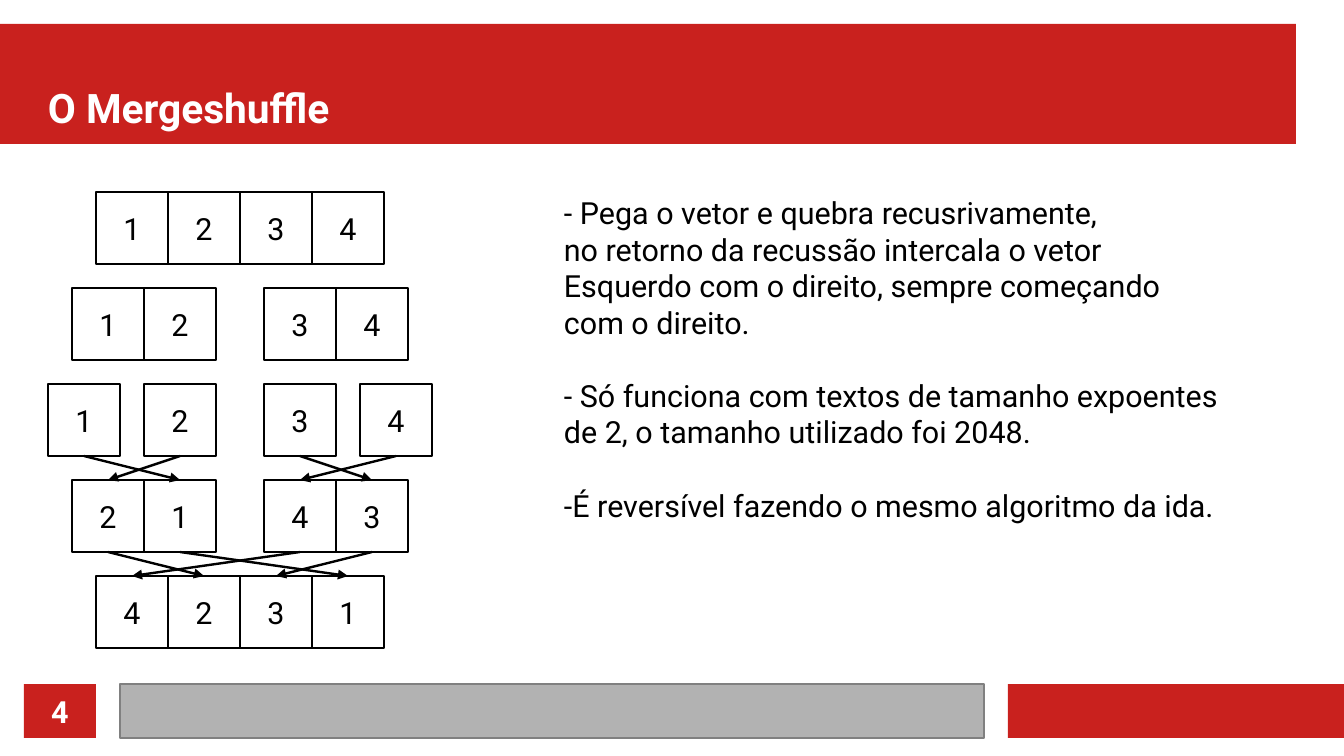
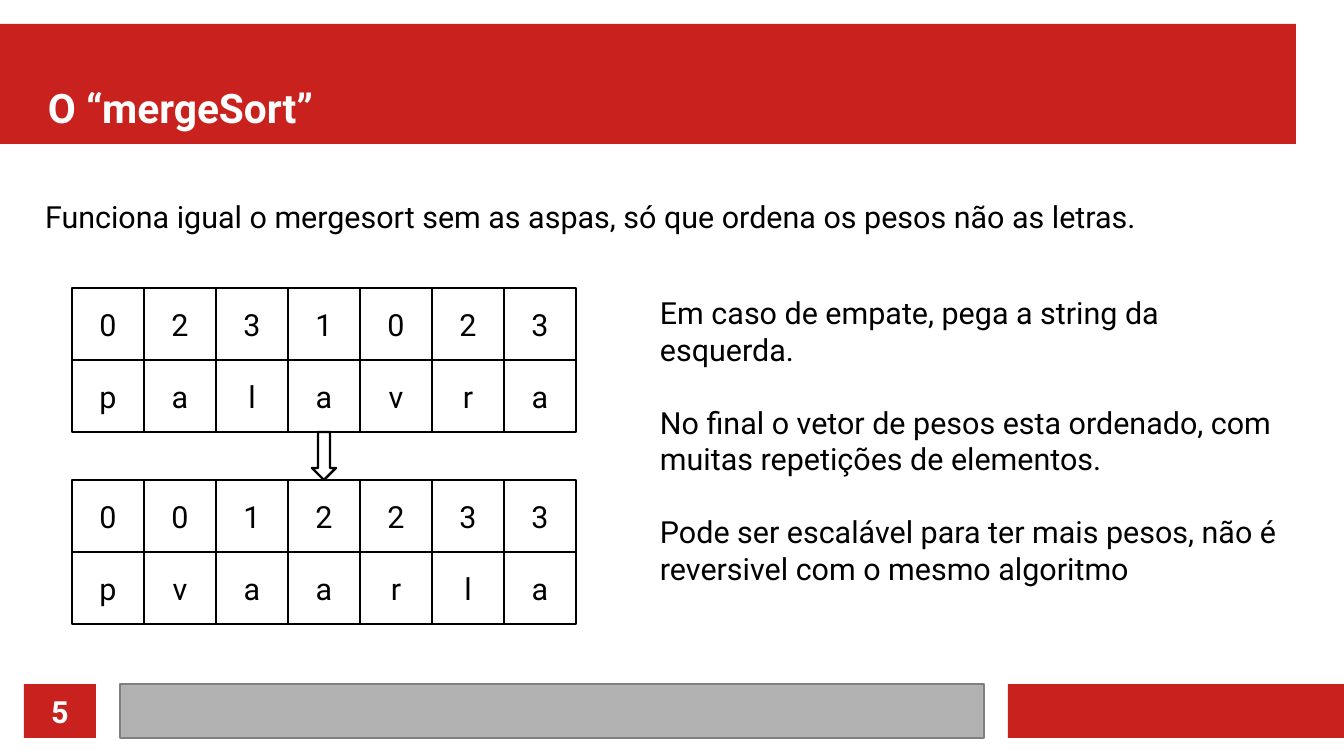
from dataclasses import dataclass

from lxml import etree
from pptx import Presentation
from pptx.dml.color import RGBColor
from pptx.enum.shapes import MSO_CONNECTOR, MSO_SHAPE
from pptx.enum.text import MSO_ANCHOR, PP_ALIGN
from pptx.oxml.ns import qn
from pptx.util import Pt

RECT = MSO_SHAPE.RECTANGLE
DOWN = MSO_SHAPE.DOWN_ARROW
LINE = MSO_CONNECTOR.STRAIGHT
TOP = MSO_ANCHOR.TOP
MIDDLE = MSO_ANCHOR.MIDDLE
BOTTOM = MSO_ANCHOR.BOTTOM
LEFT = PP_ALIGN.LEFT
CENTER = PP_ALIGN.CENTER

SCALE = 7500
WIDTH, HEIGHT = 1344, 756
CELL = 72
STEP = 96
FOOT = 684


@dataclass(frozen=True)
class Theme:
    red: RGBColor = RGBColor(0xC9, 0x21, 0x1E)
    gray: RGBColor = RGBColor(0xB2, 0xB2, 0xB2)
    edge: RGBColor = RGBColor(0x80, 0x80, 0x80)
    white: RGBColor = RGBColor(0xFF, 0xFF, 0xFF)
    black: RGBColor = RGBColor(0, 0, 0)
    font: str = "Roboto"
    head: float = 24
    body: float = 18
    gap: float = 21.6
    stroke: float = 1.42


def px(*sizes):
    return [size * SCALE for size in sizes]


class Deck:
    def __init__(self, theme):
        self.theme = theme
        self.show = Presentation()
        self.show.slide_width, self.show.slide_height = px(WIDTH, HEIGHT)
        self.slide = None

    def begin(self, title, number):
        theme = self.theme
        self.slide = self.show.slides.add_slide(self.show.slide_layouts[6])
        self.shape((0, 24, 1296, 120), theme.red)
        self.shape((1008, FOOT, 336, 54), theme.red)
        self.shape((120, FOOT, 864, 54), theme.gray, theme.edge, 0)
        badge = self.shape((24, FOOT, 72, 54), theme.red)
        self.label(badge, [[number]], theme.body, theme.white, True, MIDDLE, CENTER, (0, 0))
        head = self.slide.shapes.add_textbox(*px(48, 36, 1248, 96))
        self.label(head, [[title]], theme.head, theme.white, True, BOTTOM, LEFT, (0, 0))

    def shape(self, box, fill, edge=None, stroke=0, kind=RECT):
        shape = self.slide.shapes.add_shape(kind, *px(*box))
        shape.shadow.inherit = False
        shape.fill.solid()
        shape.fill.fore_color.rgb = fill
        if edge is None:
            shape.line.fill.background()
        else:
            shape.line.color.rgb = edge
            shape.line.width = Pt(stroke)
        return shape

    def label(self, shape, blocks, size, color, bold, anchor, align, inset):
        frame = shape.text_frame
        frame.word_wrap = True
        frame.vertical_anchor = anchor
        frame.margin_left = frame.margin_right = inset[0] * SCALE
        frame.margin_top = frame.margin_bottom = inset[1] * SCALE
        para = frame.paragraphs[0]
        for b, block in enumerate(blocks):
            for n, line in enumerate(block):
                if b or n:
                    para = frame.add_paragraph()
                para.alignment = align
                if b and not n:
                    para.space_before = Pt(self.theme.gap)
                run = para.add_run()
                run.text = line
                run.font.name = self.theme.font
                run.font.size = Pt(size)
                run.font.bold = bold
                run.font.color.rgb = color

    def text(self, box, blocks):
        shape = self.slide.shapes.add_textbox(*px(*box))
        self.label(shape, blocks, self.theme.body, self.theme.black, False, TOP, LEFT, (12, 6))

    def outline(self, box, kind=RECT):
        return self.shape(box, self.theme.white, self.theme.black, self.theme.stroke, kind)

    def cells(self, left, top, marks):
        mids = []
        for n, mark in enumerate(marks):
            x = left + n * CELL
            cell = self.outline((x, top, CELL, CELL))
            self.label(cell, [[mark]], self.theme.body, self.theme.black, False,
                       MIDDLE, CENTER, (0, 0))
            mids.append((mark, x + CELL // 2))
        return mids

    def arrow(self, start, end):
        link = self.slide.shapes.add_connector(LINE, *px(*start, *end))
        link.line.color.rgb = self.theme.black
        link.line.width = Pt(self.theme.stroke)
        props = link.element.spPr
        etree.SubElement(props.find(qn("a:ln")), qn("a:tailEnd"), type="triangle")
        etree.SubElement(props, qn("a:effectLst"))


def shuffle(deck):
    deck.begin("O Mergeshuffle", "4")
    rows = [
        [(96, "1234")],
        [(72, "12"), (264, "34")],
        [(48, "1"), (144, "2"), (264, "3"), (360, "4")],
        [(72, "21"), (264, "43")],
        [(96, "4231")],
    ]
    tops = [192 + n * STEP for n in range(len(rows))]
    mids = [
        dict(pair for left, marks in row for pair in deck.cells(left, top, marks))
        for top, row in zip(tops, rows)
    ]
    for n in (2, 3):
        for mark, x in mids[n].items():
            deck.arrow((x, tops[n] + CELL), (mids[n + 1][mark], tops[n + 1]))
    deck.text((552, 188, 766, 386), [
        ["- Pega o vetor e quebra recusrivamente,",
         "no retorno da recussão intercala o vetor",
         "Esquerdo com o direito, sempre começando",
         "com o direito."],
        ["- Só funciona com textos de tamanho expoentes",
         "de 2, o tamanho utilizado foi 2048."],
        ["-É reversível fazendo o mesmo algoritmo da ida."],
    ])


def sort(deck):
    deck.begin("O “mergeSort”", "5")
    deck.text((33, 192, 1254, 54), [
        ["Funciona igual o mergesort sem as aspas, só que ordena os pesos não as letras."],
    ])
    for top, pair in ((288, ("0231023", "palavra")), (480, ("0012233", "pvaarla"))):
        for n, marks in enumerate(pair):
            deck.cells(72, top + n * CELL, marks)
    deck.outline((312, 432, 24, 48), DOWN)
    deck.text((648, 288, 648, 344), [
        ["Em caso de empate, pega a string da esquerda."],
        ["No final o vetor de pesos esta ordenado, com muitas repetições de elementos."],
        ["Pode ser escalável para ter mais pesos, não é reversivel com o mesmo algoritmo"],
    ])


def main():
    deck = Deck(Theme())
    shuffle(deck)
    sort(deck)
    deck.show.save("out.pptx")


if __name__ == "__main__":
    main()
